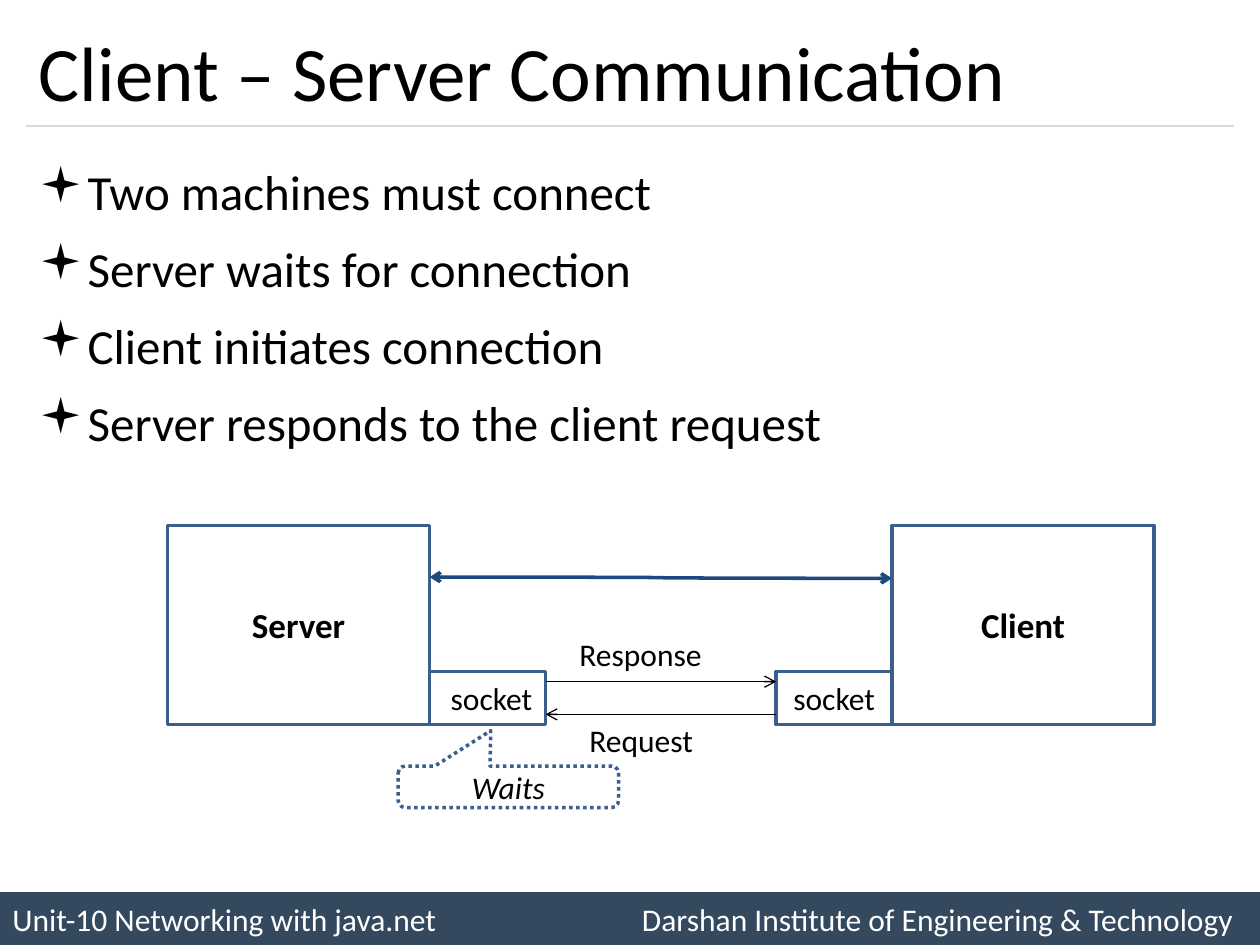
from pptx import Presentation
from pptx.dml.color import RGBColor
from pptx.enum.dml import MSO_LINE
from pptx.enum.shapes import MSO_CONNECTOR, MSO_SHAPE
from pptx.enum.text import MSO_ANCHOR, PP_ALIGN
from pptx.oxml.ns import qn
from pptx.util import Inches, Pt
from lxml import etree

RECTANGLE = MSO_SHAPE.RECTANGLE
CALLOUT = MSO_SHAPE.ROUNDED_RECTANGULAR_CALLOUT
STRAIGHT, CURVE = MSO_CONNECTOR.STRAIGHT, MSO_CONNECTOR.CURVE
DOTTED = MSO_LINE.ROUND_DOT
TOP, MIDDLE = MSO_ANCHOR.TOP, MSO_ANCHOR.MIDDLE
LEFT, CENTER, JUSTIFY = PP_ALIGN.LEFT, PP_ALIGN.CENTER, PP_ALIGN.JUSTIFY
FONT = "Calibri"
COLORS = {
    "text": "000000",
    "white": "FFFFFF",
    "footer": "34495E",
    "rule": "D9D9D9",
    "outline": "3A5F8C",
    "link": "1F497D",
}
BULLETS = [
    "Two machines must connect",
    "Server waits for connection",
    "Client initiates connection",
    "Server responds to the client request",
]


def rgb(name):
    """Return the named palette colour."""
    return RGBColor.from_string(COLORS[name])


def style_font(paragraph, size, color="text", bold=False, italic=False):
    """Format every run of a paragraph."""
    for run in paragraph.runs:
        run.font.name = FONT
        run.font.size = Pt(size)
        run.font.color.rgb = rgb(color)
        run.font.bold = bold
        run.font.italic = italic


def add_text(slide, box, text, size, anchor=TOP):
    """Add a wrapping text box with one paragraph."""
    frame = slide.shapes.add_textbox(*map(Inches, box)).text_frame
    frame.word_wrap = True
    frame.vertical_anchor = anchor
    frame.text = text
    style_font(frame.paragraphs[0], size)


def add_shape(slide, kind, box, text, size, fill="white", line="outline",
              color="text", align=CENTER, bold=False, italic=False):
    """Add a preset shape with middle-anchored text."""
    shape = slide.shapes.add_shape(kind, *map(Inches, box))
    shape.shadow.inherit = False
    if fill:
        shape.fill.solid()
        shape.fill.fore_color.rgb = rgb(fill)
    else:
        shape.fill.background()
    if line:
        shape.line.color.rgb = rgb(line)
        shape.line.width = Pt(2)
    else:
        shape.line.fill.background()
    frame = shape.text_frame
    frame.vertical_anchor = MIDDLE
    frame.text = text
    frame.paragraphs[0].alignment = align
    style_font(frame.paragraphs[0], size, color, bold, italic)
    return shape


def add_line(slide, start, end, color, width=0.75, kind=STRAIGHT, arrows=()):
    """Add a connector with open arrowheads at the listed ends."""
    connector = slide.shapes.add_connector(kind, *map(Inches, (*start, *end)))
    connector.line.color.rgb = rgb(color)
    connector.line.width = Pt(width)
    outline = connector.line._get_or_add_ln()
    for arrow in arrows:
        etree.SubElement(outline, qn(f"a:{arrow}"), type="arrow")
    etree.SubElement(connector._element.spPr, qn("a:effectLst"))


def add_header(slide, left, top, width, height):
    """Place the title and the rule below it."""
    add_text(slide, (left, top, width, height),
             "Client – Server Communication", 44, MIDDLE)
    bottom = top + height
    add_line(slide, (left, bottom), (left + width, bottom), "rule")


def add_bullets(slide, left, top, width, height):
    """Place the bulleted list."""
    frame = slide.shapes.add_textbox(
        *map(Inches, (left, top, width, height))).text_frame
    frame.word_wrap = True
    frame.text = "\n".join(BULLETS)
    for index, paragraph in enumerate(frame.paragraphs):
        paragraph.alignment = JUSTIFY
        paragraph.line_spacing = 1.14
        paragraph.space_before = Pt(5.6 if index else 0)
        properties = paragraph._p.get_or_add_pPr()
        properties.set("marL", str(Inches(0.38)))
        properties.set("indent", str(Inches(-0.38)))
        etree.SubElement(properties, qn("a:buFont"), typeface="Wingdings")
        etree.SubElement(properties, qn("a:buChar"), char="▪")
        style_font(paragraph, 28)


def add_diagram(slide, left, top, width, height):
    """Place both machines, their sockets and the messages between them."""
    machine_width, socket_width, socket_height = 2.08, 0.92, 0.42
    right, bottom = left + width, top + height
    server_edge, client_edge = left + machine_width, right - machine_width
    server_socket, client_socket = (server_edge + socket_width,
                                    client_edge - socket_width)
    socket_top = bottom - socket_height
    for name, machine_left, socket_left, inset in (
            ("Server", left, server_edge, 0.16),
            ("Client", client_edge, client_socket, 0.1)):
        add_shape(slide, RECTANGLE, (machine_left, top, machine_width, height),
                  name, 20, bold=True)
        socket = add_shape(
            slide, RECTANGLE,
            (socket_left, socket_top, socket_width, socket_height),
            "socket", 18)
        socket.text_frame.margin_left = Inches(inset)

    response_y, request_y = socket_top + 0.08, bottom - 0.08
    add_line(slide, (server_socket, response_y), (client_socket, response_y),
             "text", arrows=["tailEnd"])
    add_line(slide, (client_socket, request_y), (server_socket, request_y),
             "text", arrows=["tailEnd"])
    add_text(slide, (server_socket + 0.25, request_y, 1.33, 0.4), "Request", 18)
    add_text(slide, (server_socket + 0.17, response_y - 0.42, 1.42, 0.4),
             "Response", 18)
    link_y = top + 0.41
    add_line(slide, (server_edge, link_y), (client_edge, link_y + 0.01),
             "link", 2, CURVE, ["headEnd", "tailEnd"])

    callout = add_shape(slide, CALLOUT,
                        (server_edge - 0.25, bottom + 0.33, 1.75, 0.33),
                        "Waits", 18, fill=None, italic=True)
    callout.line.dash_style = DOTTED
    for index, value in enumerate((-0.08, -1.35, 0.17)):
        callout.adjustments[index] = value


def add_footer(slide, left, top, width, height):
    """Place the footer bar with text at both ends."""
    bar = add_shape(
        slide, RECTANGLE, (left, top, width, height),
        "Unit-10 Networking with java.net\t"
        "Darshan Institute of Engineering & Technology",
        18, fill="footer", line=None, color="white", align=LEFT)
    properties = bar.text_frame.paragraphs[0]._p.get_or_add_pPr()
    tabs = etree.SubElement(properties, qn("a:tabLst"))
    etree.SubElement(tabs, qn("a:tab"), pos=str(Inches(width - 0.31)), algn="r")


def main():
    """Build the slide and save it."""
    presentation = Presentation()
    presentation.slide_width = Inches(10)
    presentation.slide_height = Inches(7.5)
    slide = presentation.slides.add_slide(presentation.slide_layouts[6])
    add_footer(slide, 0, 7.08, 10, 0.42)
    add_header(slide, 0.21, 0.12, 9.58, 0.88)
    add_bullets(slide, 0.21, 1.17, 9.58, 5.42)
    add_diagram(slide, 1.33, 4.17, 7.83, 1.58)
    presentation.save("out.pptx")


if __name__ == "__main__":
    main()
